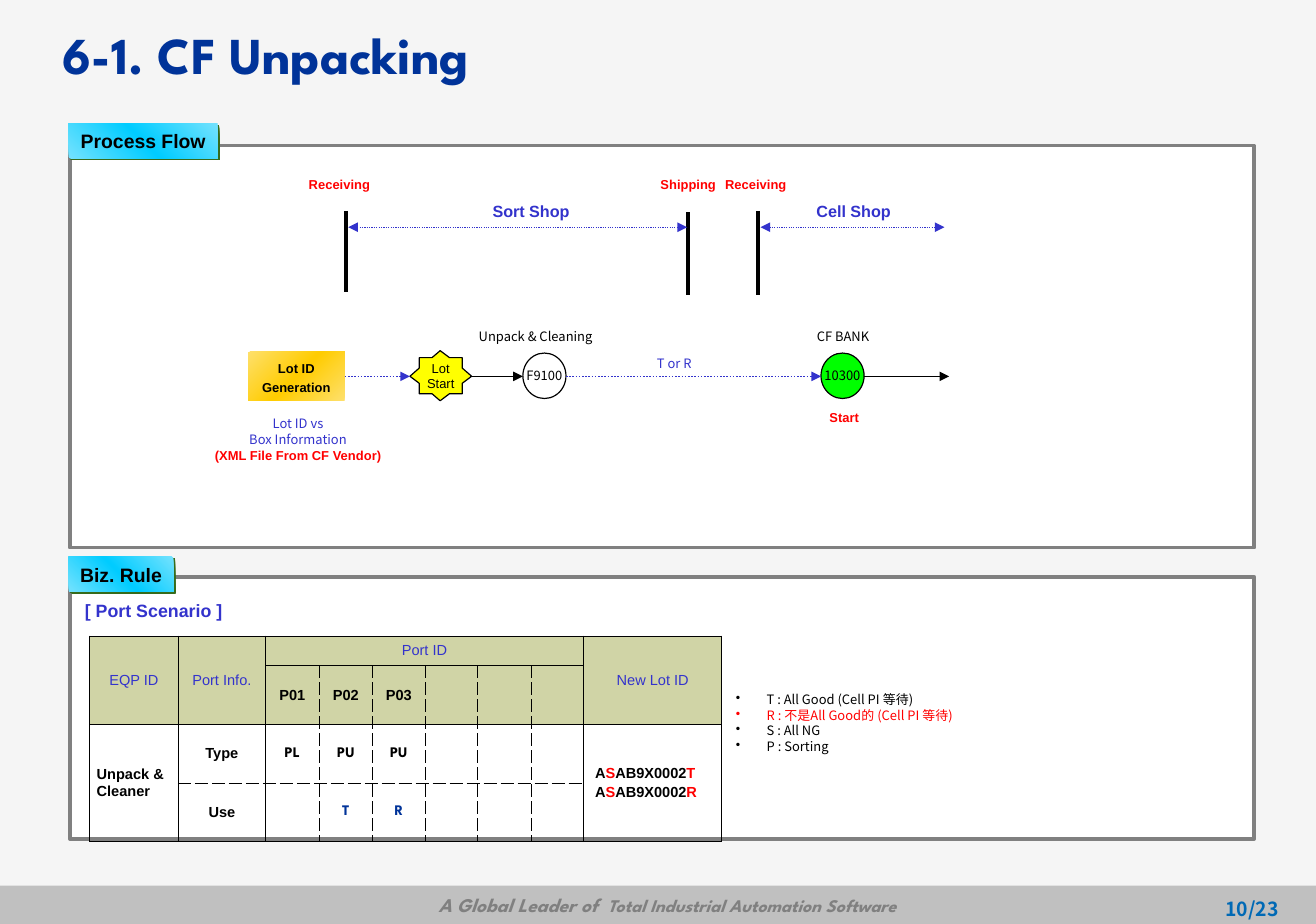
from lxml import etree
from pptx import Presentation
from pptx.dml.color import RGBColor
from pptx.enum.dml import MSO_LINE
from pptx.enum.shapes import MSO_CONNECTOR, MSO_SHAPE
from pptx.enum.text import MSO_ANCHOR, PP_ALIGN
from pptx.oxml import parse_xml
from pptx.oxml.ns import qn
from pptx.util import Inches, Pt

LEFT, CENTER, RIGHT = PP_ALIGN.LEFT, PP_ALIGN.CENTER, PP_ALIGN.RIGHT
TOP, MIDDLE = MSO_ANCHOR.TOP, MSO_ANCHOR.MIDDLE
RECTANGLE, OVAL = MSO_SHAPE.RECTANGLE, MSO_SHAPE.OVAL
STRAIGHT = MSO_CONNECTOR.STRAIGHT
DOTTED = MSO_LINE.ROUND_DOT
SPARTAN, NOTO, ARIAL = "League Spartan", "Noto Sans CJK KR", "Arial"
BLACK, WHITE, GRAY = "000000", "FFFFFF", "808080"
BLUE, NAVY, RED, OLIVE = "3333CC", "003399", "FF0000", "D0D4A6"
DRAWING = "http://schemas.openxmlformats.org/drawingml/2006/main"


def rgb(value):
    return RGBColor.from_string(value)


def write(frame, lines, size=8, font=ARIAL, color=BLACK, bold=False, italic=False,
          align=CENTER, anchor=TOP, wrap=False, spacing=None, before=None):
    frame.word_wrap = wrap
    frame.vertical_anchor = anchor
    for index, line in enumerate(lines):
        para = frame.add_paragraph() if index else frame.paragraphs[0]
        para.alignment = align
        para.line_spacing = spacing
        para.space_before = before
        pieces = [(line, color, size)] if isinstance(line, str) else line
        for text, tint, points in pieces:
            span = para.add_run()
            span.text = text
            span.font.name = font
            span.font.size = Pt(points)
            span.font.bold = bold
            span.font.italic = italic
            span.font.color.rgb = rgb(tint)


deck = Presentation()
deck.slide_width, deck.slide_height = Inches(11.3), Inches(7.93)
page = deck.slides.add_slide(deck.slide_layouts[5])
page.background.fill.solid()
page.background.fill.fore_color.rgb = rgb("F5F5F5")
shapes = page.shapes

title = shapes.title
title.left, title.top, title.width, title.height = map(Inches, (0.44, 0.02, 7.1, 0.88))
write(title.text_frame, ["6-1. CF Unpacking"], size=32, font=SPARTAN, color=NAVY,
      bold=True, align=LEFT, anchor=MIDDLE, wrap=True)

for kind, place, fill, line, width, text in [
    (RECTANGLE, (0, 7.6, 11.3, 0.33), "C0C0C0", None, 0, ""),
    (RECTANGLE, (0.6, 1.25, 10.17, 3.45), WHITE, GRAY, 2.25, ""),
    (RECTANGLE, (0.6, 4.95, 10.17, 2.25), WHITE, GRAY, 2.25, ""),
    (OVAL, (4.49, 3.03, 0.37, 0.39), WHITE, BLACK, 0.75, "F9100"),
    (OVAL, (7.05, 3.03, 0.37, 0.39), "00FF00", BLACK, 0.75, "10300"),
]:
    box = shapes.add_shape(kind, *map(Inches, place))
    box.shadow.inherit = False
    box.fill.solid()
    box.fill.fore_color.rgb = rgb(fill)
    if line:
        box.line.color.rgb = rgb(line)
        box.line.width = Pt(width)
    else:
        box.line.fill.background()
    if text:
        write(box.text_frame, [text], font=NOTO, anchor=MIDDLE)

for place, edge, middle, angle, lines, style in [
    ((0.59, 1.06, 1.28, 0.3), "74E2FE", "00CCFF", 135, ["Process Flow"], {"size": 12}),
    ((0.59, 4.78, 0.9, 0.3), "74E2FE", "00CCFF", 135, ["Biz. Rule"], {"size": 12}),
    ((2.13, 3.02, 0.83, 0.42), "FEE06C", "FFCC00", 225, ["Lot ID", "Generation"],
     {"spacing": 1.2}),
]:
    lot_box = shapes.add_shape(RECTANGLE, *map(Inches, place))
    lot_box.line.fill.background()
    lot_box.shadow.inherit = False
    properties = lot_box.fill._xPr
    stops = "".join(f'<a:gs pos="{spot}"><a:srgbClr val="{tint}"/></a:gs>'
                    for spot, tint in [(0, edge), (50000, middle), (100000, edge)])
    properties.insert(2, parse_xml(
        f'<a:gradFill xmlns:a="{DRAWING}" rotWithShape="1"><a:gsLst>{stops}</a:gsLst>'
        f'<a:lin ang="{angle * 60000}" scaled="1"/></a:gradFill>'))
    if "size" in style:
        properties.find(qn("a:effectLst")).append(parse_xml(
            f'<a:outerShdw xmlns:a="{DRAWING}" dist="17780" dir="2700000">'
            '<a:srgbClr val="366B1B"/></a:outerShdw>'))
    write(lot_box.text_frame, lines, bold=True, anchor=MIDDLE, **style)

star_points = [(3.52, 3.23), (3.6, 3.29), (3.6, 3.38), (3.71, 3.38), (3.78, 3.44),
               (3.86, 3.38), (3.97, 3.38), (3.97, 3.29), (4.05, 3.23), (3.97, 3.16),
               (3.97, 3.07), (3.86, 3.07), (3.78, 3.01), (3.71, 3.07), (3.6, 3.07),
               (3.6, 3.16)]
corners = [(Inches(x), Inches(y)) for x, y in star_points]
builder = shapes.build_freeform(*corners[0])
builder.add_line_segments(corners[1:], close=True)
star = builder.convert_to_shape()
star.shadow.inherit = False
star.fill.solid()
star.fill.fore_color.rgb = rgb("FFFF00")
star.line.color.rgb = rgb(BLACK)
star.line.width = Pt(0.75)
write(star.text_frame, ["Lot", "Start"], anchor=MIDDLE)

for start, end, color, width, dash, arrows in [
    ((2.97, 1.81), (2.97, 2.51), BLACK, 2.25, None, ()),
    ((5.91, 1.82), (5.91, 2.53), BLACK, 2.25, None, ()),
    ((6.51, 1.81), (6.51, 2.53), BLACK, 2.25, None, ()),
    ((2.99, 1.95), (5.9, 1.95), BLUE, 0.75, DOTTED, ("headEnd", "tailEnd")),
    ((6.53, 1.95), (8.11, 1.95), BLUE, 0.75, DOTTED, ("headEnd", "tailEnd")),
    ((2.96, 3.23), (3.52, 3.23), BLUE, 1, DOTTED, ("tailEnd",)),
    ((4.04, 3.23), (4.49, 3.23), BLACK, 0.75, None, ("tailEnd",)),
    ((4.86, 3.23), (7.05, 3.23), BLUE, 1, DOTTED, ("tailEnd",)),
    ((7.42, 3.23), (8.15, 3.23), BLACK, 0.75, None, ("tailEnd",)),
]:
    link = shapes.add_connector(STRAIGHT, *map(Inches, start + end))
    link.line.color.rgb = rgb(color)
    link.line.width = Pt(width)
    if dash:
        link.line.dash_style = dash
    if start == (2.96, 3.23):
        link.begin_connect(lot_box, 3)
    for arrow in arrows:
        etree.SubElement(link.line._ln, qn(f"a:{arrow}"), type="triangle")
    etree.SubElement(link._element.spPr, qn("a:effectLst"))

red_label = {"color": RED, "bold": True}
shop_label = {"size": 10, "color": BLUE, "bold": True}
slogan = [("A Global Leader of ", GRAY, 12), (" Total Industrial Automation Software", GRAY, 11)]
for place, lines, style in [
    ((3.13, 7.67, 4.67, 0.24), [slogan], {"font": SPARTAN, "bold": True, "italic": True,
     "align": RIGHT, "wrap": True, "spacing": 0.7, "before": Pt(2.8)}),
    ((9.11, 7.65, 1.97, 0.28), ["10/23"], {"size": 12, "font": NOTO, "color": "0069B5",
     "bold": True, "align": RIGHT, "wrap": True}),
    ((0.46, 5.1, 1.72, 0.28), ["[ Port Scenario ]"],
     {"size": 11, "color": BLUE, "bold": True, "wrap": True}),
    ((4.13, 1.68, 0.86, 0.27), ["Sort Shop"], shop_label),
    ((6.91, 1.68, 0.84, 0.27), ["Cell Shop"], shop_label),
    ((2.55, 1.47, 0.73, 0.23), ["Receiving"], red_label),
    ((5.57, 1.47, 0.68, 0.23), ["Shipping"], red_label),
    ((6.12, 1.47, 0.74, 0.23), ["Receiving"], red_label),
    ((7.02, 3.47, 0.46, 0.23), ["Start"], red_label),
    ((4, 2.77, 1.2, 0.23), ["Unpack & Cleaning"], {"font": NOTO}),
    ((6.91, 2.77, 0.66, 0.23), ["CF BANK"], {"font": NOTO}),
    ((5.54, 3, 0.5, 0.23), ["T or R"], {"font": NOTO, "color": BLUE}),
    ((1.74, 3.52, 1.64, 0.37), ["Lot ID vs", "Box Information"],
     {"font": NOTO, "color": BLUE}),
    ((1.74, 3.79, 1.64, 0.23), ["(XML File From CF Vendor)"], red_label),
]:
    box = shapes.add_textbox(*map(Inches, place))
    write(box.text_frame, lines, **style)

legend = shapes.add_textbox(*map(Inches, (6.22, 5.89, 2.07, 0.63)))
write(legend.text_frame,
      [" T : All Good (Cell PI 等待)", [(" R : 不是All Good的 (Cell PI 等待)", RED, 8)],
       " S : All NG", " P : Sorting"], font=NOTO, align=LEFT, wrap=True)
for para, color in zip(legend.text_frame.paragraphs, [BLACK, RED, BLACK, BLACK]):
    layout = para._p.get_or_add_pPr()
    layout.set("marL", str(Inches(0.24)))
    layout.set("indent", str(-Inches(0.24)))
    tint = etree.SubElement(layout, qn("a:buClr"))
    etree.SubElement(tint, qn("a:srgbClr"), val=color)
    etree.SubElement(layout, qn("a:buChar"), char="•")

widths = [0.76, 0.75, 0.46, 0.46, 0.45, 0.45, 0.46, 0.45, 1.19]
heights = [0.25, 0.51, 0.5, 0.5]
ports = shapes.add_table(4, 9, *map(Inches, (0.77, 5.46, sum(widths), sum(heights)))).table
ports.first_row = ports.horz_banding = False
for column, width in zip(ports.columns, widths):
    column.width = Inches(width)
for row, height in zip(ports.rows, heights):
    row.height = Inches(height)
for first, last in [((0, 0), (1, 0)), ((0, 1), (1, 1)), ((0, 2), (0, 7)),
                    ((0, 8), (1, 8)), ((2, 0), (3, 0)), ((2, 8), (3, 8))]:
    ports.cell(*first).merge(ports.cell(*last))

lots = [[("A", BLACK, 9), ("S", RED, 9), ("AB9X0002", BLACK, 9), (end, RED, 9)]
        for end in "TR"]
heading, strong = {"color": BLUE}, {"bold": True}
port_type = {"font": SPARTAN, "bold": True}
port_use = {"font": SPARTAN, "bold": True, "color": NAVY}
entries = {
    (0, 0): (["EQP ID"], heading), (0, 1): (["Port Info."], heading),
    (0, 2): (["Port ID"], heading), (0, 8): (["New Lot ID"], heading),
    (1, 2): (["P01"], strong), (1, 3): (["P02"], strong), (1, 4): (["P03"], strong),
    (2, 0): (["Unpack & Cleaner"], {"bold": True, "align": LEFT}),
    (2, 1): (["Type"], strong), (3, 1): (["Use"], strong),
    (2, 2): (["PL"], port_type), (2, 3): (["PU"], port_type), (2, 4): (["PU"], port_type),
    (3, 3): (["T"], port_use), (3, 4): (["R"], port_use),
    (2, 8): (lots, {"bold": True, "align": LEFT}),
}
for row in range(4):
    for column in range(9):
        cell = ports.cell(row, column)
        if cell.is_spanned:
            continue
        right, bottom = column + cell.span_width, row + cell.span_height
        for side, edge, limit, dashed in [
            ("L", column, 9, row > 0 and 3 <= column <= 7),
            ("R", right, 9, row > 0 and 3 <= right <= 7),
            ("T", row, 4, row == 3 and 1 <= column <= 7),
            ("B", bottom, 4, bottom == 3 and 1 <= column <= 7),
        ]:
            weight = Pt(0.75 if edge in (0, limit) else 0.34)
            border = etree.SubElement(cell._tc.get_or_add_tcPr(), qn(f"a:ln{side}"),
                                      w=str(weight))
            paint = etree.SubElement(border, qn("a:solidFill"))
            etree.SubElement(paint, qn("a:srgbClr"), val=BLACK)
            etree.SubElement(border, qn("a:prstDash"), val="dash" if dashed else "solid")
        if row < 2:
            cell.fill.solid()
            cell.fill.fore_color.rgb = rgb(OLIVE)
        else:
            cell.fill.background()
        cell.margin_left = cell.margin_right = Inches(0.1 if column == 8 else 0.06)
        cell.margin_top = cell.margin_bottom = Inches(0.02)
        cell.vertical_anchor = MIDDLE
        if (row, column) in entries:
            lines, style = entries[row, column]
            write(cell.text_frame, lines, size=9, anchor=MIDDLE, wrap=True,
                  before=Pt(2.2), **style)

deck.save("out.pptx")
